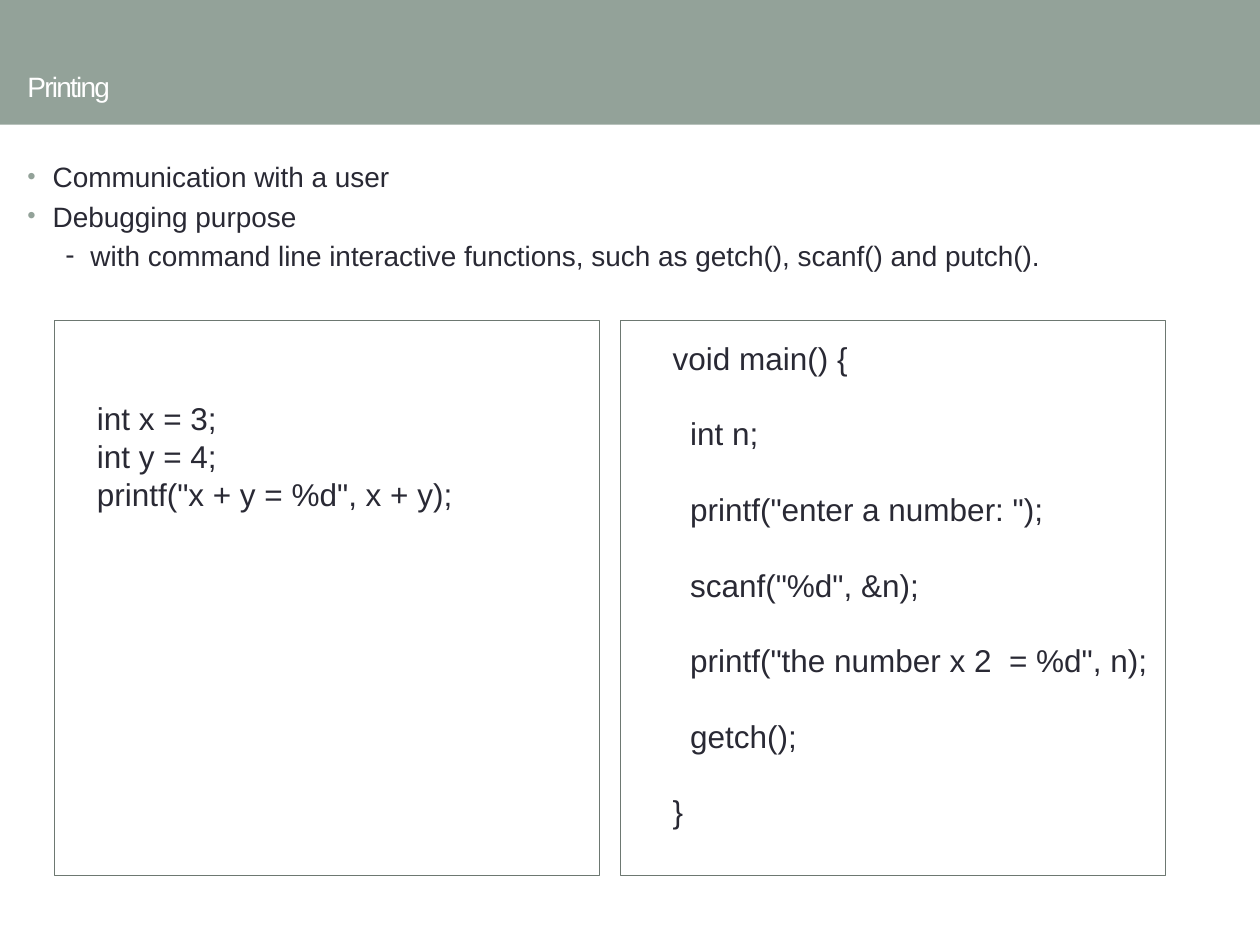
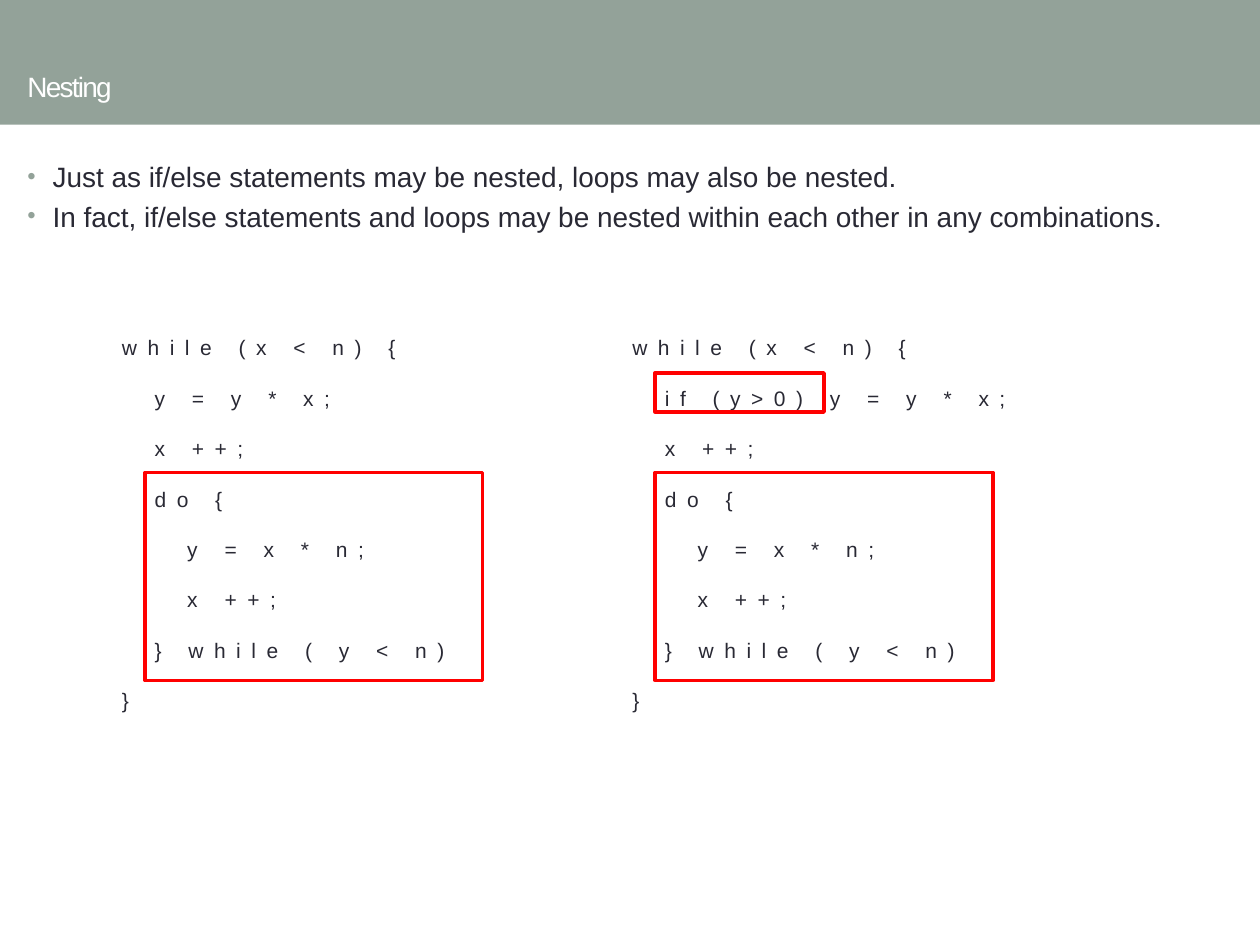
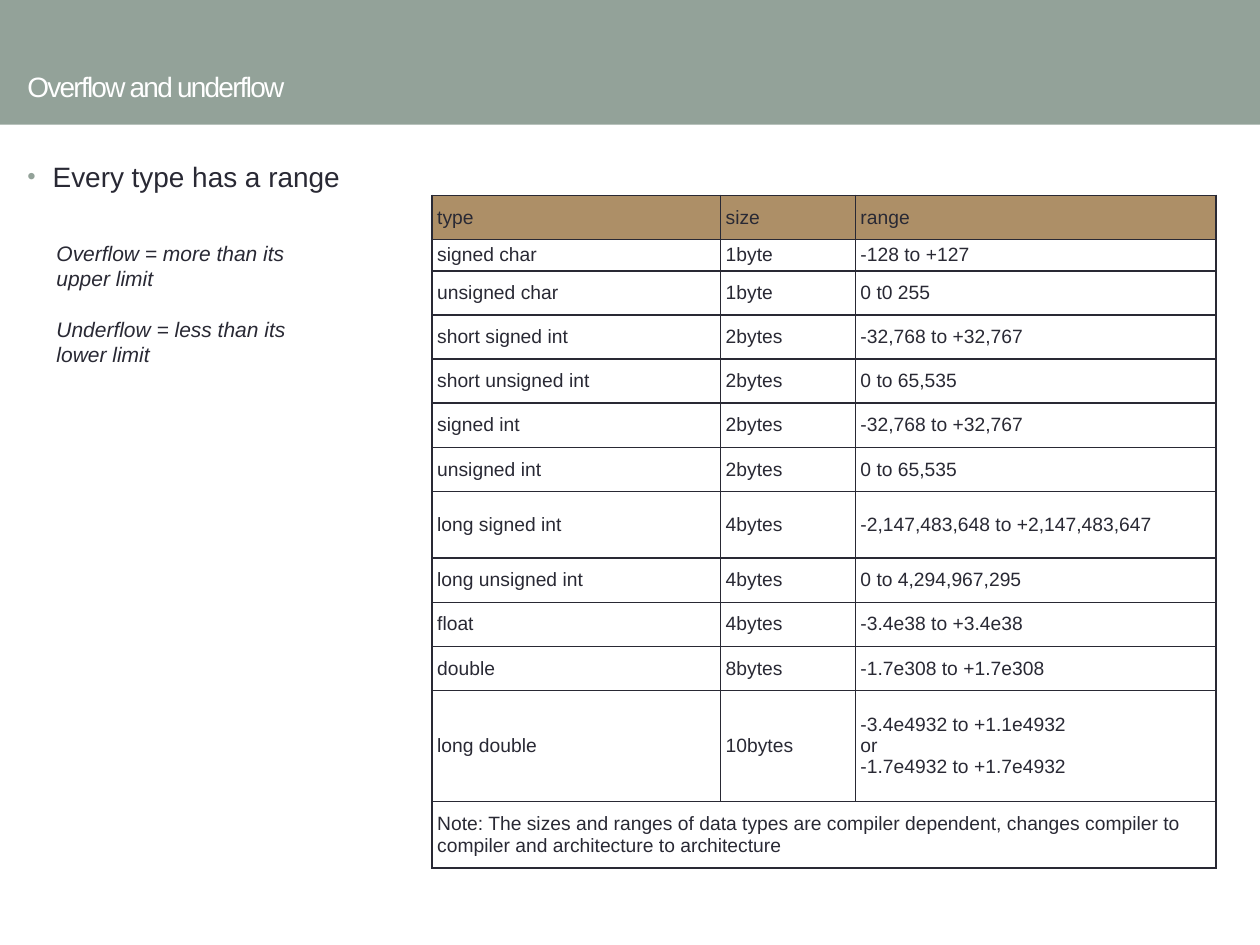
from lxml import etree
from pptx import Presentation
from pptx.dml.color import RGBColor
from pptx.enum import shapes, text
from pptx.oxml import ns
from pptx.util import Inches, Pt

FONT = "Arial"
INK, SAGE, TAN, GREY, RED, WHITE = "292934", "93A299", "AD8F67", "6D7871", "FF0000", "FFFFFF"
LEADING = 1.2  # line pitch as a multiple of the text size


def rgb(value):
    return RGBColor.from_string(value)


def sub(parent, tag, **attrs):
    el = etree.SubElement(parent, ns.qn(tag))
    for name, value in attrs.items():
        el.set(name, str(value))
    return el


def set_all(obj, values):
    for name, value in values.items():
        setattr(obj, name, value)


def style(p, size, color=INK, pitch=None, before=0, spacing=0, italic=None):
    """Format a paragraph and its runs; sizes and spacing are in points."""
    set_all(p, {"line_spacing": Pt(pitch or size * LEADING), "space_before": Pt(before)})
    for r in p.runs:
        set_all(r.font, {"name": FONT, "size": Pt(size), "italic": italic})
        r.font.color.rgb = rgb(color)
        if spacing:
            r.font._element.set("spc", str(spacing * 100))


def add_text(s, box, lines, gap=0, anchor=text.MSO_ANCHOR.TOP, **fmt):
    """Place one paragraph per line, with gap points between them."""
    tf = s.shapes.add_textbox(*map(Inches, box)).text_frame
    set_all(tf, {"word_wrap": True, "vertical_anchor": anchor})
    for i, line in enumerate(lines):
        p = tf.add_paragraph() if i else tf.paragraphs[0]
        p.text = line
        style(p, before=gap if i else 0, **fmt)
    return tf


def add_rect(s, box, fill=None, line=None, width=1):
    sp = s.shapes.add_shape(shapes.MSO_SHAPE.RECTANGLE, *map(Inches, box))
    sp.shadow.inherit = False
    if fill:
        sp.fill.solid()
        sp.fill.fore_color.rgb = rgb(fill)
    else:
        sp.fill.background()
    if line:
        sp.line.color.rgb = rgb(line)
        sp.line.width = Pt(width)
    else:
        sp.line.fill.background()


def add_bullet(p, char, left, hang, color, percent):
    pPr = p._p.get_or_add_pPr()
    pPr.set("marL", str(Inches(left)))
    pPr.set("indent", str(-Inches(hang)))
    sub(sub(pPr, "a:buClr"), "a:srgbClr", val=color)
    sub(pPr, "a:buSzPct", val=percent * 1000)
    sub(pPr, "a:buFont", typeface=FONT)
    sub(pPr, "a:buChar", char=char)


def new_slide(prs, title, bullets, dashes=(), body_height=1.2):
    """Slide with title band, bullets and dashed sub-points."""
    s = prs.slides.add_slide(prs.slide_layouts[6])
    add_rect(s, (0, 0, 10, 0.99), fill=SAGE)
    add_text(s, (0.12, 0.37, 9.76, 0.63), [title], size=16, color=WHITE,
             spacing=-1, anchor=text.MSO_ANCHOR.MIDDLE)
    tf = add_text(s, (0.12, 1.22, 9.76, body_height), [*bullets, *dashes], size=16, gap=3.2)
    for i, p in enumerate(tf.paragraphs):
        if i < len(bullets):
            add_bullet(p, "•", 0.2, 0.2, SAGE, 85)
        else:
            add_bullet(p, "-", 0.5, 0.2, INK, 100)
    return s


# Printing: two framed code samples
def code_panel(s, box, offset, lines, gap=0):
    x, y, w, h = box
    dx, dy = offset
    add_text(s, (x + dx, y + dy, w - dx + 0.1, h - dy), lines, size=18, gap=gap)
    add_rect(s, box, line=GREY, width=0.25)


def printing_slide(prs):
    s = new_slide(prs, "Printing", ["Communication with a user", "Debugging purpose"],
                  ["with command line interactive functions, such as getch(), scanf() and putch()."])
    code_panel(s, (0.43, 2.54, 4.33, 4.41), (0.24, 0.58),
               ["int x = 3;", "int y = 4;", 'printf("x + y = %d", x + y);'])
    code_panel(s, (4.92, 2.54, 4.33, 4.41), (0.32, 0.1),
               ["void main() {", "  int n;", '  printf("enter a number: ");',
                '  scanf("%d", &n);', '  printf("the number x 2  = %d", n);',
                "  getch();", "}"], gap=18 * LEADING)


# Nesting: loops with the nested parts framed
def loop_code(s, left, top, first_step, frames):
    lines = ["while (x < n) {", f"  {first_step}", "  x ++;", "  do {",
             "    y = x * n;", "    x ++;", "  } while ( y < n)", "}"]
    add_text(s, (left, top, 5, 3.33), lines, size=12, pitch=24 * LEADING, spacing=6)
    for dy, w, h in frames:
        add_rect(s, (left + 0.28, top + dy, w, h), line=RED, width=2.08)


def nesting_slide(prs):
    s = new_slide(prs, "Nesting", [
        "Just as if/else statements may be nested, loops may also be nested.",
        "In fact, if/else statements and loops may be nested within each other in any combinations."])
    do_frame, if_frame = (1.34, 2.68, 1.65), (0.55, 1.34, 0.31)
    loop_code(s, 0.87, 2.41, "y = y * x;", [do_frame])
    loop_code(s, 4.92, 2.41, "if (y>0) y = y * x;", [do_frame, if_frame])


# Overflow and underflow: table of type ranges
TYPES = [
    ("type", "size", "range"),
    ("signed char", "1byte", "-128 to +127"),
    ("unsigned char", "1byte", "0 t0 255"),
    ("short signed int", "2bytes", "-32,768 to +32,767"),
    ("short unsigned int", "2bytes", "0 to 65,535"),
    ("signed int", "2bytes", "-32,768 to +32,767"),
    ("unsigned int", "2bytes", "0 to 65,535"),
    ("long signed int", "4bytes", "-2,147,483,648 to +2,147,483,647"),
    ("long unsigned int", "4bytes", "0 to 4,294,967,295"),
    ("float", "4bytes", "-3.4e38 to +3.4e38"),
    ("double", "8bytes", "-1.7e308 to +1.7e308"),
    ("long double", "10bytes", "-3.4e4932 to +1.1e4932\nor\n-1.7e4932 to +1.7e4932"),
    ("Note: The sizes and ranges of data types are compiler dependent, "
     "changes compiler to compiler and architecture to architecture", "", ""),
]
COLUMN_WIDTHS = [2.29, 1.07, 2.86]
ROW_HEIGHT = 0.35
SPECIAL_HEIGHTS = {1: 0.25, 7: 0.53, 11: 0.88, 12: 0.53}


def format_cell(cell, value, fill=None):
    set_all(cell, {f"margin_{side}": Inches(0.04) for side in ("left", "right", "top", "bottom")})
    cell.vertical_anchor = text.MSO_ANCHOR.MIDDLE
    p = cell.text_frame.paragraphs[0]
    p.text = value
    style(p, 11, pitch=12.2)
    tcPr = cell._tc.get_or_add_tcPr()
    for side in "LRTB":
        ln = sub(tcPr, f"a:ln{side}", w=Pt(1))
        sub(sub(ln, "a:solidFill"), "a:srgbClr", val=INK)
    if fill:
        cell.fill.solid()
        cell.fill.fore_color.rgb = rgb(fill)
    else:
        cell.fill.background()


def type_table(s, left, top):
    heights = [SPECIAL_HEIGHTS.get(i, ROW_HEIGHT) for i in range(len(TYPES))]
    box = (left, top, sum(COLUMN_WIDTHS), sum(heights))
    table = s.shapes.add_table(len(TYPES), len(COLUMN_WIDTHS), *map(Inches, box)).table
    set_all(table, {"first_row": False, "horz_banding": False})
    for col, width in zip(table.columns, COLUMN_WIDTHS):
        col.width = Inches(width)
    for i, (row, height) in enumerate(zip(table.rows, heights)):
        row.height = Inches(height)
        for cell, value in zip(row.cells, TYPES[i]):
            format_cell(cell, value, None if i else TAN)
    last = len(TYPES) - 1
    table.cell(last, 0).merge(table.cell(last, 2))


def overflow_slide(prs):
    s = new_slide(prs, "Overflow and underflow", ["Every type has a range"], body_height=0.49)
    type_table(s, 3.43, 1.55)
    add_text(s, (0.35, 1.86, 2.2, 1.11),
             ["Overflow = more than its upper limit", "Underflow = less than its lower limit"],
             size=12, italic=True, gap=12 * LEADING)


def main():
    prs = Presentation()
    set_all(prs, {"slide_width": Inches(10), "slide_height": Inches(7.5)})
    printing_slide(prs)
    nesting_slide(prs)
    overflow_slide(prs)
    prs.save("out.pptx")


if __name__ == "__main__":
    main()
